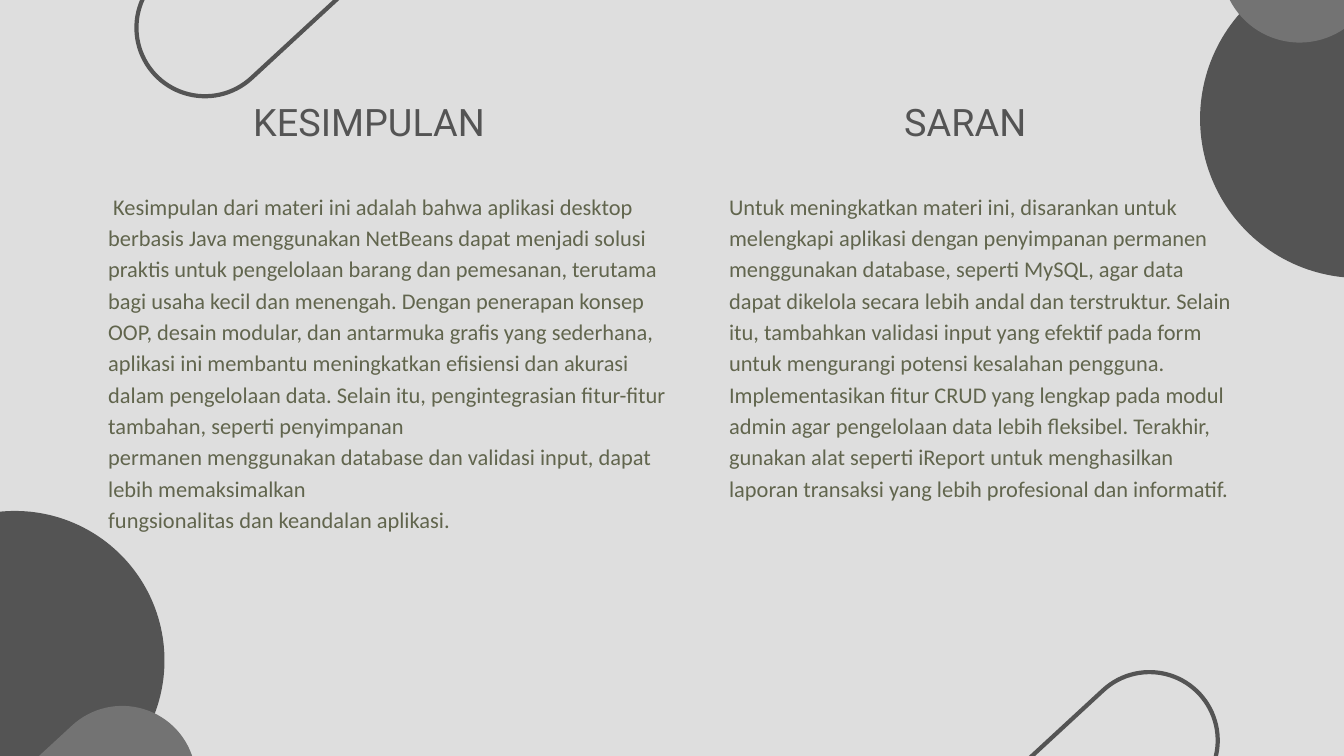
from dataclasses import dataclass
from typing import Optional

import pptx
import pptx.dml.color
import pptx.enum.shapes
import pptx.enum.text
import pptx.util

# Grid: 20 columns by 11.25 rows of square cells
COLUMNS, ROWS = 20, 11.25
CELL = pptx.util.Inches(1)
TILT = 317.3


@dataclass(frozen=True)
class TextStyle:
    font: str
    size: float
    color: str
    leading: float
    alignment: pptx.enum.text.PP_ALIGN


@dataclass(frozen=True)
class Theme:
    background: str = "DEDEDE"
    dark: str = "545454"
    middle: str = "737373"
    outline: float = 4.5
    heading: TextStyle = TextStyle(
        "Roboto", 40.5, "545454", 34.4, pptx.enum.text.PP_ALIGN.CENTER)
    body: TextStyle = TextStyle(
        "Calibri", 24, "61654D", 33.6, pptx.enum.text.PP_ALIGN.LEFT)


THEME = Theme()


@dataclass(frozen=True)
class Pill:
    """A tilted capsule; without a fill it is drawn as an outline."""
    column: float
    row: float
    columns: float
    rows: float
    fill: Optional[str] = None


@dataclass(frozen=True)
class Section:
    heading: str
    heading_column: float
    body_column: float
    body_columns: float
    body_rows: float
    paragraphs: tuple[str, ...]


PILLS = (
    Pill(-5.09, 8.81, 8.01, 4.45, THEME.dark),
    Pill(-1.19, 11.25, 4.4, 2.2, THEME.middle),
    Pill(17.23, -2.21, 9.48, 4.74, THEME.dark),
    Pill(17.86, -2.5, 4.68, 2.34, THEME.middle),
    Pill(14.33, 10.69, 4.06, 2.03),
    Pill(1.76, -1.3, 4.08, 2.04),
)

HEADING_ROW, HEADING_COLUMNS, HEADING_ROWS = 1.66, 11.53, 0.52
BODY_ROW = 2.8

SECTIONS = (
    Section("KESIMPULAN", -0.27, 1.61, 8.63, 5.55, (
        " Kesimpulan dari materi ini adalah bahwa aplikasi desktop berbasis "
        "Java menggunakan NetBeans dapat menjadi solusi praktis untuk "
        "pengelolaan barang dan pemesanan, terutama bagi usaha kecil dan "
        "menengah. Dengan penerapan konsep OOP, desain modular, dan antarmuka "
        "grafis yang sederhana, aplikasi ini membantu meningkatkan efisiensi "
        "dan akurasi dalam pengelolaan data. Selain itu, pengintegrasian "
        "fitur-fitur tambahan, seperti penyimpanan",
        "permanen menggunakan database dan validasi input, dapat lebih "
        "memaksimalkan",
        "fungsionalitas dan keandalan aplikasi.",
    )),
    Section("SARAN ", 8.67, 10.85, 7.5, 5.09, (
        "Untuk meningkatkan materi ini, disarankan untuk melengkapi aplikasi "
        "dengan penyimpanan permanen menggunakan database, seperti MySQL, agar "
        "data dapat dikelola secara lebih andal dan terstruktur. Selain itu, "
        "tambahkan validasi input yang efektif pada form untuk mengurangi "
        "potensi kesalahan pengguna. Implementasikan fitur CRUD yang lengkap "
        "pada modul admin agar pengelolaan data lebih fleksibel. Terakhir, "
        "gunakan alat seperti iReport untuk menghasilkan laporan transaksi "
        "yang lebih profesional dan informatif.",
    )),
)


def cells(count: float) -> int:
    return round(count * CELL)


def color(code: str) -> pptx.dml.color.RGBColor:
    return pptx.dml.color.RGBColor.from_string(code)


def draw_pill(slide: pptx.slide.Slide, pill: Pill) -> None:
    shape = slide.shapes.add_shape(
        pptx.enum.shapes.MSO_SHAPE.ROUNDED_RECTANGLE,
        cells(pill.column), cells(pill.row),
        cells(pill.columns), cells(pill.rows))
    shape.adjustments[0] = 0.5
    shape.rotation = TILT
    shape.shadow.inherit = False
    if pill.fill:
        shape.fill.solid()
        shape.fill.fore_color.rgb = color(pill.fill)
        shape.line.fill.background()
    else:
        shape.fill.background()
        shape.line.color.rgb = color(THEME.dark)
        shape.line.width = pptx.util.Pt(THEME.outline)


def draw_text(slide: pptx.slide.Slide, column: float, row: float,
              columns: float, rows: float, paragraphs: tuple[str, ...],
              style: TextStyle) -> None:
    box = slide.shapes.add_textbox(
        cells(column), cells(row), cells(columns), cells(rows))
    frame = box.text_frame
    frame.word_wrap = True
    frame.auto_size = pptx.enum.text.MSO_AUTO_SIZE.SHAPE_TO_FIT_TEXT
    frame.margin_left = frame.margin_right = 0
    frame.margin_top = frame.margin_bottom = 0
    for index, text in enumerate(paragraphs):
        paragraph = frame.add_paragraph() if index else frame.paragraphs[0]
        paragraph.alignment = style.alignment
        paragraph.line_spacing = pptx.util.Pt(style.leading)
        run = paragraph.add_run()
        run.text = text
        run.font.name = style.font
        run.font.size = pptx.util.Pt(style.size)
        run.font.color.rgb = color(style.color)


def draw_section(slide: pptx.slide.Slide, section: Section) -> None:
    draw_text(slide, section.heading_column, HEADING_ROW, HEADING_COLUMNS,
              HEADING_ROWS, (section.heading,), THEME.heading)
    draw_text(slide, section.body_column, BODY_ROW, section.body_columns,
              section.body_rows, section.paragraphs, THEME.body)


def main() -> None:
    presentation = pptx.Presentation()
    presentation.slide_width = cells(COLUMNS)
    presentation.slide_height = cells(ROWS)
    slide = presentation.slides.add_slide(presentation.slide_layouts[6])
    slide.background.fill.solid()
    slide.background.fill.fore_color.rgb = color(THEME.background)

    # Corner decoration
    for pill in PILLS:
        draw_pill(slide, pill)

    # Conclusion and suggestions
    for section in SECTIONS:
        draw_section(slide, section)

    presentation.save("out.pptx")


if __name__ == "__main__":
    main()
